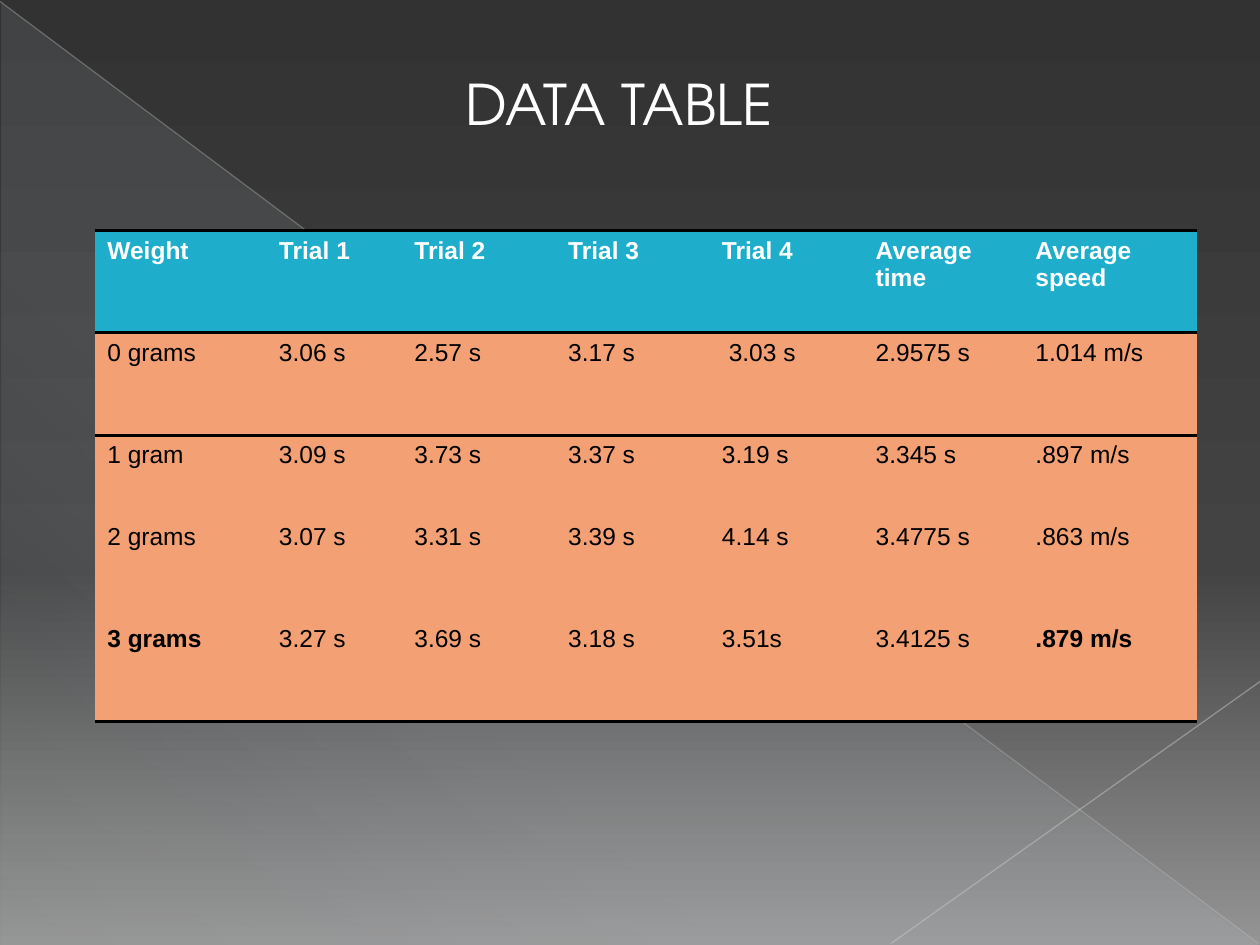
from lxml.etree import SubElement
from pptx import Presentation
from pptx.dml.color import RGBColor
from pptx.enum.shapes import MSO_CONNECTOR, MSO_SHAPE
from pptx.enum.text import MSO_ANCHOR, PP_ALIGN
from pptx.oxml import parse_xml
from pptx.oxml.ns import nsdecls, qn
from pptx.util import Cm, Pt

COLORS = {
    "white": "FFFFFF", "black": "000000", "header": "1FADCC", "body": "F3A074",
    "top": "323232", "middle": "434343", "bottom": "949494",
    "glass": "DEF5FA", "long line": "C7C7C7", "short line": "CDCDCD",
}


def set_gradient(fill, owner, angle, stops):
    fill.gradient()
    fill.gradient_angle = 360 - angle
    stop_list = owner.xpath(".//a:gradFill/a:gsLst")[0]
    for old_stop in list(stop_list):
        stop_list.remove(old_stop)
    for position, name, opacity in stops:
        stop = SubElement(stop_list, qn("a:gs"), pos=str(position * 1000))
        color = SubElement(stop, qn("a:srgbClr"), val=COLORS[name])
        SubElement(color, qn("a:alpha"), val=str(opacity * 1000))


def add_text(para, text, font, size, name, bold=False):
    span = para.add_run()
    span.text = text
    span.font.name = font
    span.font.size = Pt(size)
    span.font.bold = bold
    span.font.color.rgb = RGBColor.from_string(COLORS[name])


deck = Presentation()
deck.slide_width, deck.slide_height = Cm(25.4), Cm(19.05)
page = deck.slides.add_slide(deck.slide_layouts[5])
set_gradient(page.background.fill, page.element, 90,
             [(0, "top", 100), (60, "middle", 100), (100, "bottom", 100)])

triangle = page.shapes.add_shape(
    MSO_SHAPE.RIGHT_TRIANGLE, Cm(0.03), Cm(0.05), Cm(25.35), Cm(19))
triangle.shadow.inherit = False
triangle.line.fill.background()
set_gradient(triangle.fill, triangle.element, 133,
             [(0, "glass", 10), (70, "glass", 8), (100, "glass", 1)])

for x1, y1, x2, y2, name, opacity in [
    (0, 0.03, 25.37, 19.02, "long line", 35),
    (25.4, 13.74, 17.96, 19.02, "short line", 45),
]:
    line = page.shapes.add_connector(
        MSO_CONNECTOR.STRAIGHT, Cm(x1), Cm(y1), Cm(x2), Cm(y2))
    line.line.width = Pt(0.75)
    line.line.color.rgb = RGBColor.from_string(COLORS[name])
    color = line.element.xpath("./p:spPr/a:ln//a:srgbClr")[0]
    SubElement(color, qn("a:alpha"), val=str(opacity * 1000))
    SubElement(line.element.spPr, qn("a:effectLst"))

title = page.shapes.title
title.left, title.top, title.width, title.height = Cm(6.55), Cm(1.27), Cm(11.86), Cm(1.63)
title.text_frame.vertical_anchor = MSO_ANCHOR.MIDDLE
title.text_frame.paragraphs[0].alignment = PP_ALIGN.CENTER
add_text(title.text_frame.paragraphs[0], "DATA TABLE", "TeX Gyre Adventor", 32, "white")

rows = [
    ["Weight", "Trial 1", "Trial 2", "Trial 3", "Trial 4", "Average time", "Average speed"],
    ["0 grams", "3.06 s", "2.57 s", "3.17 s", " 3.03 s", "2.9575 s", "1.014 m/s"],
    ["1 gram", "3.09 s", "3.73 s", "3.37 s", "3.19 s", "3.345 s", ".897 m/s"],
    ["2 grams", "3.07 s", "3.31 s", "3.39 s", "4.14 s", "3.4775 s", ".863 m/s"],
    ["3 grams", "3.27 s", "3.69 s", "3.18 s", "3.51s", "3.4125 s", ".879 m/s"],
]
widths = [3.46, 2.73, 3.1, 3.1, 3.1, 3.22, 3.52]
heights = [2.06, 2.06, 1.65, 2.06, 2.06]
borders = {0: ["lnT", "lnB"], 1: ["lnT"], 4: ["lnB"]}
bold_cells = {"3 grams", ".879 m/s"}

frame = page.shapes.add_table(
    len(rows), len(widths), Cm(1.91), Cm(4.65), Cm(sum(widths)), Cm(sum(heights)))
frame.element.xpath(".//a:tableStyleId")[0].text = "{2D5ABB26-0587-4C30-8999-92F81FD0307C}"
table = frame.table
table.horz_banding = False
for column, width in zip(table.columns, widths):
    column.width = Cm(width)

for r, (values, height) in enumerate(zip(rows, heights)):
    table.rows[r].height = Cm(height)
    for c, value in enumerate(values):
        cell = table.cell(r, c)
        cell.fill.solid()
        cell.fill.fore_color.rgb = RGBColor.from_string(COLORS["body" if r else "header"])
        add_text(cell.text_frame.paragraphs[0], value, "Arial", 14,
                 "black" if r else "white", r == 0 or value in bold_cells)
        properties = cell.fill._xPr
        for index, side in enumerate(borders.get(r, [])):
            properties.insert(index, parse_xml(
                f'<a:{side} {nsdecls("a")} w="{Pt(2)}"><a:solidFill>'
                f'<a:srgbClr val="{COLORS["black"]}"/></a:solidFill></a:{side}>'))

deck.save("out.pptx")
